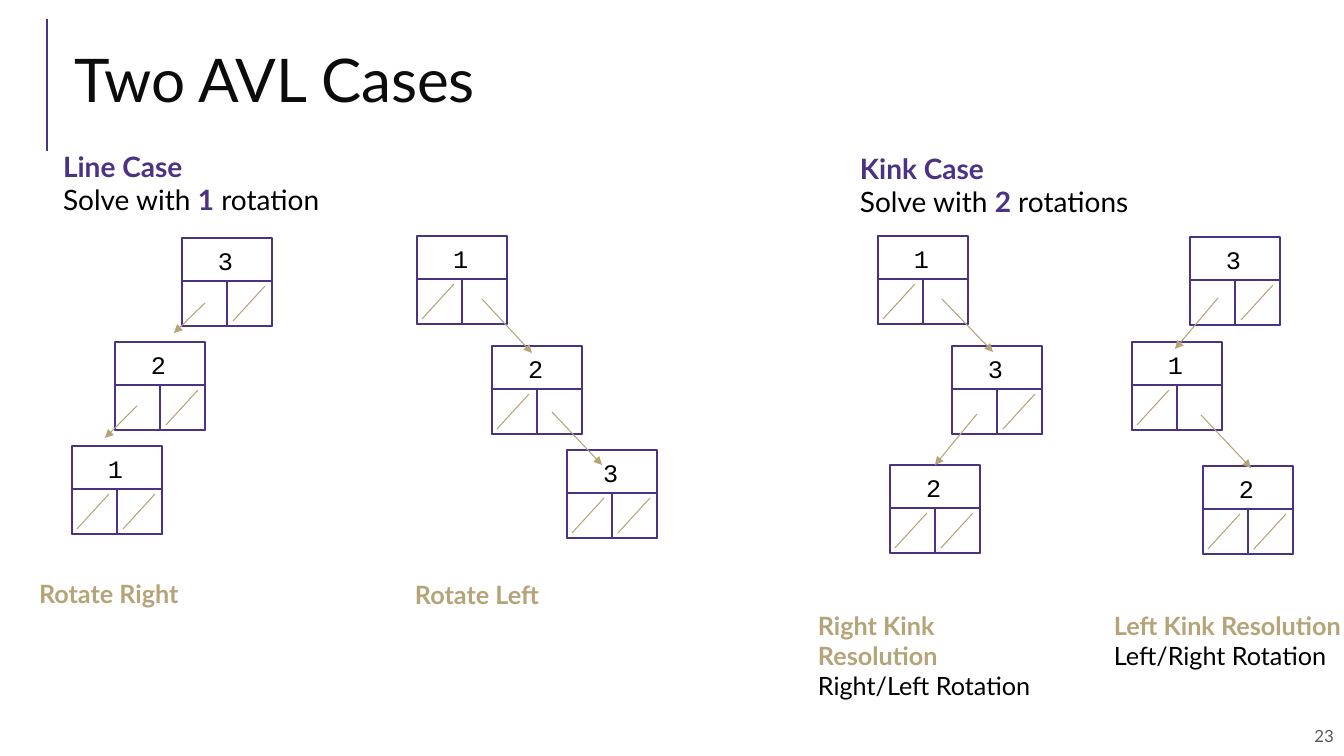
from lxml.etree import SubElement
from pptx import Presentation
from pptx.dml.color import RGBColor
from pptx.enum.shapes import MSO_CONNECTOR, MSO_SHAPE
from pptx.enum.text import MSO_ANCHOR, MSO_AUTO_SIZE, PP_ALIGN
from pptx.oxml.ns import qn
from pptx.util import Emu, Pt

COLORS = {"purple": "4C3282", "gold": "B6A479", "black": "000000",
          "title": "0C0C0C", "gray": "595959"}
PX_PER_INCH = 100.8
NODE_WIDTH, NODE_HEIGHT, CELL_WIDTH, VALUE_HEIGHT = 90, 88, 45, 43


def px(length):
    return Emu(round(length * 914400 / PX_PER_INCH))


def color(name):
    return RGBColor.from_string(COLORS[name])


class SlideBuilder:
    font = "Lato"
    code_font = "Courier New"

    def __init__(self, deck):
        self.page = deck.slides.add_slide(deck.slide_layouts[5])
        self.shapes = self.page.shapes

    def fill_frame(self, frame, paragraphs, size, font, inset_y=5):
        """Each paragraph is a list of (text, color name, bold) spans."""
        frame.word_wrap = True
        frame.auto_size = MSO_AUTO_SIZE.NONE
        frame.margin_left = frame.margin_right = px(10)
        frame.margin_top = frame.margin_bottom = px(inset_y)
        for index, spans in enumerate(paragraphs):
            para = frame.add_paragraph() if index else frame.paragraphs[0]
            para.alignment = PP_ALIGN.LEFT
            for text, name, bold in spans:
                span = para.add_run()
                span.text = text
                span.font.name = font
                span.font.size = Pt(size)
                span.font.bold = bold
                span.font.color.rgb = color(name)

    def title(self, text, left, top, width, height):
        box = self.shapes.title
        box.left, box.top, box.width, box.height = map(px, (left, top, width, height))
        self.fill_frame(box.text_frame, [[(text, "title", False)]], 43, self.font)
        box.text_frame.vertical_anchor = MSO_ANCHOR.MIDDLE
        box.text_frame.paragraphs[0].line_spacing = 0.8

    def text(self, paragraphs, left, top, width, height, size, font=None,
             inset_y=5, parent=None):
        box = (parent or self).shapes.add_textbox(*map(px, (left, top, width, height)))
        self.fill_frame(box.text_frame, paragraphs, size, font or self.font, inset_y)
        return box

    def page_number(self, text, left, top, width, height):
        box = self.text([[(text, "gray", False)]], left, top, width, height, 12, inset_y=10)
        box.text_frame.vertical_anchor = MSO_ANCHOR.MIDDLE
        box.text_frame.paragraphs[0].alignment = PP_ALIGN.RIGHT

    def line(self, start, end, name="gold", weight=0.75):
        connector = self.shapes.add_connector(
            MSO_CONNECTOR.STRAIGHT, *map(px, (*start, *end)))
        connector.line.color.rgb = color(name)
        connector.line.width = Pt(weight)
        SubElement(connector._element.spPr, qn("a:effectLst"))
        return connector

    def arrow(self, start, end, target=None):
        connector = self.line(start, end)
        SubElement(connector.line._get_or_add_ln(), qn("a:tailEnd"), type="triangle")
        if target is not None:
            connector.end_connect(target, 0)

    def rectangle(self, parent, left, top, width, height):
        box = parent.shapes.add_shape(
            MSO_SHAPE.RECTANGLE, *map(px, (left, top, width, height)))
        box.shadow.inherit = False
        box.fill.background()
        box.line.color.rgb = color("purple")
        box.line.width = Pt(1.25)
        return box

    def node(self, value, left, top, empty_cells):
        """A tree node; a slash marks each empty child cell (0 left, 1 right)."""
        group = self.shapes.add_group_shape()
        frame = self.rectangle(group, left, top, NODE_WIDTH, NODE_HEIGHT)
        for side in (0, 1):
            self.rectangle(group, left + side * CELL_WIDTH, top + VALUE_HEIGHT,
                           CELL_WIDTH, NODE_HEIGHT - VALUE_HEIGHT)
        self.text([[(value, "black", False)]], left + 26, top + 2, 36, 40, 18,
                  self.code_font, parent=group)
        for side in empty_cells:
            slash_left = left + 5 + side * (CELL_WIDTH + 1)
            self.line((slash_left + 32, top + 48), (slash_left, top + 83))
        return frame


def main():
    deck = Presentation()
    deck.slide_width, deck.slide_height = px(1344), px(756)
    slide = SlideBuilder(deck)

    # Title, accent line and page number
    slide.line((47, 151), (47, 19), "purple", 1.5)
    slide.title("Two AVL Cases", 64, 29, 1233, 112)
    slide.page_number("23", 872, 716, 472, 40)

    # Case headings
    for case, count, noun, left, top, width in (
            ("Line Case", "1", " rotation", 53, 144, 336),
            ("Kink Case", "2", " rotations", 850, 146, 389)):
        slide.text([[(case, "purple", True)],
                    [("Solve with ", "black", False), (count, "purple", True),
                     (noun, "black", False)]], left, top, width, 78, 20)

    # Trees: value, left, top, empty child cells
    for value, left, top, empty_cells in (
            ("3", 182, 238, [1]), ("2", 115, 342, [1]), ("1", 72, 446, [0, 1]),
            ("1", 417, 236, [0]), ("2", 492, 346, [0]), ("3", 567, 450, [0, 1]),
            ("1", 878, 236, [0]), ("3", 952, 346, [1]),
            ("3", 1190, 237, [1]), ("1", 1132, 342, [0]), ("2", 1203, 466, [0, 1])):
        slide.node(value, left, top, empty_cells)
    right_kink_leaf = slide.node("2", 890, 465, [0, 1])

    # Child pointers
    for start, end in (
            ((205, 303), (174, 333)), ((137, 406), (105, 438)),
            ((482, 299), (532, 353)), ((552, 412), (602, 465)),
            ((942, 299), (993, 352)),
            ((1218, 298), (1175, 349)), ((1201, 415), (1251, 468))):
        slide.arrow(start, end)
    slide.arrow((977, 414), (935, 465), right_kink_leaf)

    # Resolution labels
    for label, detail, left, top, width, height in (
            ("Rotate Right", None, 29, 573, 403, 102),
            ("Rotate Left", None, 405, 574, 411, 102),
            ("Right Kink Resolution", "Right/Left Rotation", 808, 605, 253, 86),
            ("Left Kink Resolution", "Left/Right Rotation", 1104, 605, 253, 102)):
        paragraphs = [[(label, "gold", True)]]
        if detail:
            paragraphs.append([(detail, "black", False)])
        slide.text(paragraphs, left, top, width, height, 18)

    deck.save("out.pptx")


if __name__ == "__main__":
    main()
